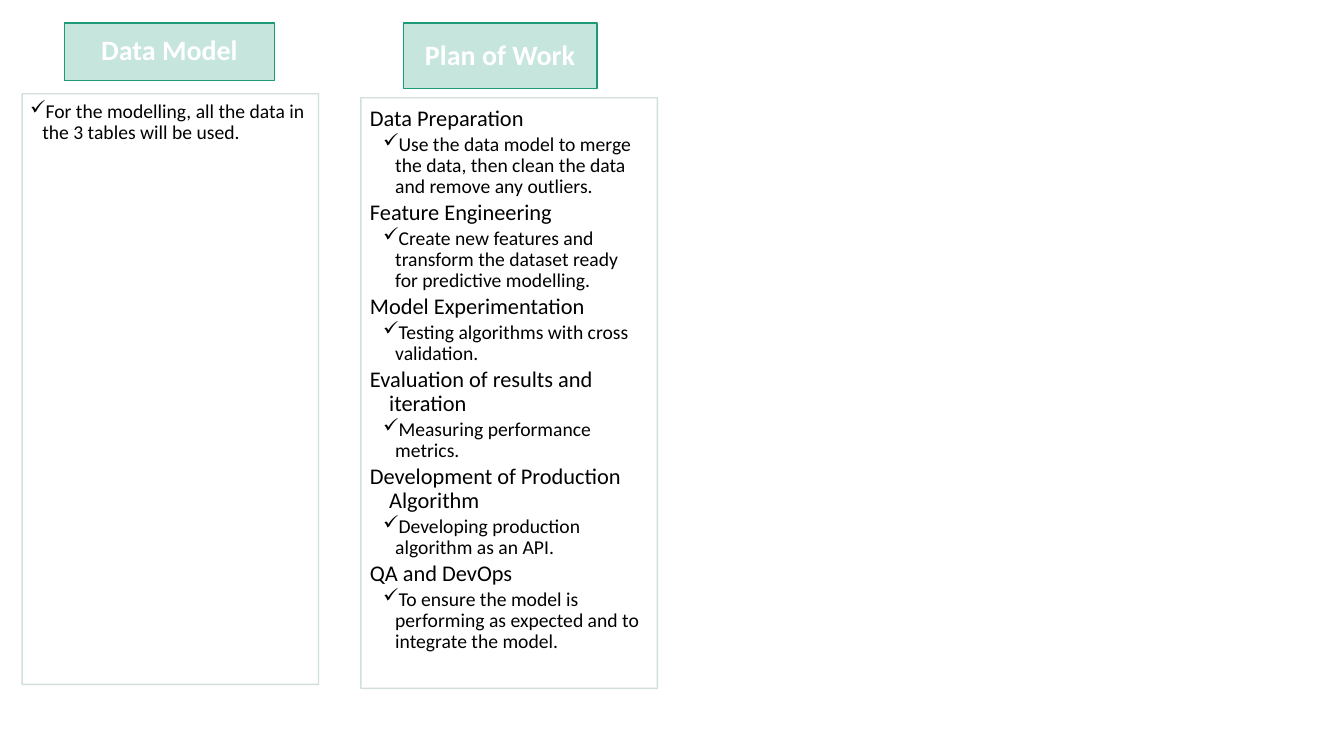
from dataclasses import dataclass

from lxml import etree
from pptx import Presentation
from pptx import util as u
from pptx.dml.color import RGBColor
from pptx.enum import shapes, text
from pptx.oxml import ns

FONT = "Calibri"
GREEN, PALE, WHITE, BLACK = "1D9A78", "CDDED6", "FFFFFF", "000000"


@dataclass
class Style:
    size: int
    color: str = BLACK
    bold: bool = False
    align: text.PP_ALIGN = text.PP_ALIGN.LEFT
    after: float = 0.15  # share of the text size
    level: int = 0
    margin: float = 0
    hanging: float = 0
    bullet: str = ""


@dataclass
class Panel:
    frame: tuple[float, float, float, float]
    insets: tuple[float, float, float, float]
    fill: str
    opacity: int
    line: str
    line_opacity: int
    anchor: text.MSO_ANCHOR
    lines: list[tuple[str, Style]]


HEADING = Style(20, WHITE, True, text.PP_ALIGN.CENTER, after=0.35)
NOTE = Style(14, level=1, margin=0.12, hanging=0.12, bullet="✓")
STAGE = Style(16, level=1, margin=0.19, hanging=0.19)
TASK = Style(14, level=2, margin=0.25, hanging=0.12, bullet="✓")

PLAN = [
    ("Data Preparation",
     "Use the data model to merge the data, then clean the data and remove any outliers."),
    ("Feature Engineering",
     "Create new features and transform the dataset ready for predictive modelling."),
    ("Model Experimentation", "Testing algorithms with cross validation."),
    ("Evaluation of results and iteration", "Measuring performance metrics."),
    ("Development of Production Algorithm", "Developing production algorithm as an API."),
    ("QA and DevOps",
     "To ensure the model is performing as expected and to integrate the model."),
]


def heading(frame: tuple[float, float, float, float], title: str) -> Panel:
    return Panel(frame, (0.16, 0.09, 0.16, 0.09), GREEN, 25, GREEN, 100,
                 text.MSO_ANCHOR.MIDDLE, [(title, HEADING)])


def body(left: float, top: float, insets: tuple[float, float, float, float],
         lines: list[tuple[str, Style]]) -> Panel:
    return Panel((left, top, 2.94, 5.86), insets, WHITE, 65, PALE, 90,
                 text.MSO_ANCHOR.TOP, lines)


def paint(fill, color: str, opacity: int = 100) -> None:
    fill.solid()
    fill.fore_color.rgb = RGBColor.from_string(color)
    if opacity < 100:
        node = fill._xPr.find(".//" + ns.qn("a:srgbClr"))
        etree.SubElement(node, ns.qn("a:alpha"), val=str(opacity * 1000))


def set_all(target, values: dict) -> None:
    for name, value in values.items():
        setattr(target, name, value)


def write_line(para, words: str, style: Style) -> None:
    set_all(para, {"alignment": style.align, "level": style.level, "line_spacing": 0.9,
                   "space_before": u.Pt(0), "space_after": u.Pt(style.size * style.after)})
    props = para._p.get_or_add_pPr()
    props.set("marL", str(u.Inches(style.margin)))
    props.set("indent", str(-u.Inches(style.hanging)))
    if style.bullet:
        etree.SubElement(props, ns.qn("a:buChar"), char=style.bullet)
    span = para.add_run()
    span.text = words
    set_all(span.font, {"name": FONT, "size": u.Pt(style.size), "bold": style.bold})
    paint(span.font.fill, style.color)


def draw_panel(page, panel: Panel) -> None:
    box = page.shapes.add_shape(shapes.MSO_SHAPE.RECTANGLE, *map(u.Inches, panel.frame))
    box.shadow.inherit = False
    paint(box.fill, panel.fill, panel.opacity)
    paint(box.line.fill, panel.line, panel.line_opacity)
    box.line.width = u.Pt(1)
    sides = ("margin_left", "margin_top", "margin_right", "margin_bottom")
    set_all(box.text_frame, {"word_wrap": True, "vertical_anchor": panel.anchor,
                             **dict(zip(sides, map(u.Inches, panel.insets)))})
    for index, (words, style) in enumerate(panel.lines):
        frame = box.text_frame
        para = frame.add_paragraph() if index else frame.paragraphs[0]
        write_line(para, words, style)


def main() -> None:
    deck = Presentation()
    set_all(deck, {"slide_width": u.Inches(13.33), "slide_height": u.Inches(7.5)})
    page = deck.slides.add_slide(deck.slide_layouts.get_by_name("Blank"))

    # Each column is a heading over a body
    plan_lines = [line for stage, task in PLAN for line in ((stage, STAGE), (task, TASK))]
    model_lines = [("For the modelling, all the data in the 3 tables will be used.", NOTE)]
    for panel in (
        heading((0.64, 0.23, 2.08, 0.57), "Data Model"),
        body(0.22, 0.93, (0.08, 0.08, 0.11, 0.12), model_lines),
        heading((4, 0.23, 1.92, 0.65), "Plan of Work"),
        body(3.58, 0.97, (0.09, 0.09, 0.12, 0.14), plan_lines),
    ):
        draw_panel(page, panel)

    deck.save("out.pptx")


if __name__ == "__main__":
    main()
